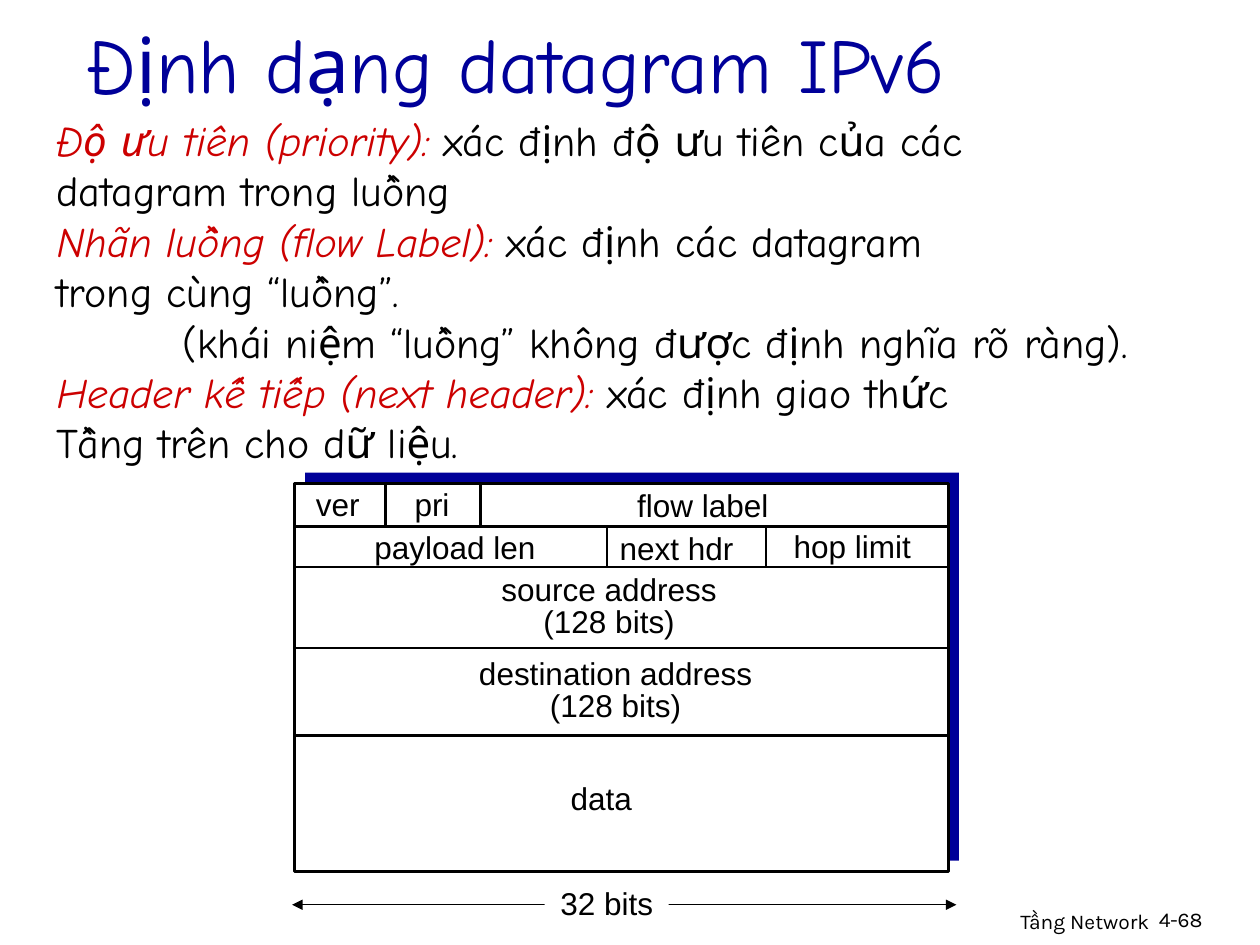
"""Build the slide on the IPv6 datagram format."""
from lxml.etree import SubElement
from pptx import Presentation
from pptx.dml.color import RGBColor
from pptx.enum.shapes import MSO_CONNECTOR as CONN, MSO_SHAPE as SHAPE
from pptx.enum.text import MSO_ANCHOR as ANCHOR, MSO_AUTO_SIZE as AUTO, PP_ALIGN as ALIGN
from pptx.oxml.ns import qn
from pptx.util import Cm, Pt

BLUE, RED, BLACK, WHITE = "000099", "CC0000", "000000", "FFFFFF"
TITLE = "Định dạng datagram IPv6"
BODY = [
    ("Độ ưu tiên (priority):", " xác định độ ưu tiên của các", 0),
    ("", "datagram trong luồng", 0),
    ("Nhãn luồng (flow Label):", " xác định các datagram", 0),
    ("", "trong cùng “luồng”.", 0),
    ("", "(khái niệm “luồng” không được định nghĩa rõ ràng).", 2.54),
    ("Header kế tiếp (next header):", " xác định giao thức", 0),
    ("", "Tầng trên cho dữ liệu.", 0),
]
FOOTERS = [
    ("Tầng Network", (15.37, 18.19, 8.05, 0.79), ALIGN.RIGHT),
    ("4-68", (23.11, 18.16, 1.88, 0.76), ALIGN.LEFT),
]
LEFT, TOP, WIDTH, HEIGHT = 5.94, 9.75, 13.18, 7.82
ROWS = [10.62, 11.43, 13.06, 14.83]
COLUMNS = [
    (7.77, TOP, ROWS[0]), (9.68, TOP, ROWS[0]),
    (12.24, ROWS[0], ROWS[1]), (15.44, ROWS[0], ROWS[1]),
]
FIELDS = [
    (["ver"], 6.81, 9.65, 1.5),
    (["pri"], 8.71, 9.65, 1.35),
    (["flow label"], 14.17, 9.68, 3.3),
    (["payload len"], 9.17, 10.52, 3.9),
    (["next hdr"], 13.64, 10.54, 2.95),
    (["hop limit"], 17.18, 10.49, 3.0),
    (["source address", "(128 bits)"], 12.28, 11.48, 5.0),
    (["destination address", "(128 bits)"], 12.41, 13.18, 6.15),
    (["data"], 12.12, 15.57, 1.85),
]


def rgb(value):
    return RGBColor.from_string(value)


def place(sp, box):
    for name, value in zip(("left", "top", "width", "height"), box):
        setattr(sp, name, Cm(value))


def add_run(p, text, color=BLACK, **fmt):
    r = p.add_run()
    r.text = text
    r.font.color.rgb = rgb(color)
    for name, value in fmt.items():
        setattr(r.font, name, value)


def paragraphs(tf, count):
    return [tf.paragraphs[0]] + [tf.add_paragraph() for _ in range(count - 1)]


def add_rect(s, box, fill, line=None):
    sp = s.shapes.add_shape(SHAPE.RECTANGLE, *map(Cm, box))
    sp.shadow.inherit = False
    sp.fill.solid()
    sp.fill.fore_color.rgb = rgb(fill)
    if line:
        sp.line.color.rgb = rgb(line)
        sp.line.width = Pt(1.5)
    else:
        sp.line.fill.background()
    return sp


def add_line(s, ends, width=1.5, arrows=False):
    sp = s.shapes.add_connector(CONN.STRAIGHT, *map(Cm, ends))
    sp.line.color.rgb = rgb(BLACK)
    sp.line.width = Pt(width)
    if arrows:
        ln = sp.line._get_or_add_ln()
        for tag in ("a:headEnd", "a:tailEnd"):
            SubElement(ln, qn(tag), type="triangle")
    SubElement(sp._element.spPr, qn("a:effectLst"))


def write_label(sp, lines):
    tf = sp.text_frame
    tf.word_wrap, tf.auto_size, tf.vertical_anchor = False, AUTO.SHAPE_TO_FIT_TEXT, ANCHOR.TOP
    for p, line in zip(paragraphs(tf, len(lines)), lines):
        p.alignment = ALIGN.CENTER
        if len(lines) > 1:
            p.line_spacing = 0.85
        add_run(p, line, name="Arial", size=Pt(18))


def add_title(s):
    sp = s.shapes.title
    place(sp, (1.47, 0, 21.59, 2.51))
    tf = sp.text_frame
    tf.auto_size, tf.vertical_anchor = AUTO.NONE, ANCHOR.MIDDLE
    tf.paragraphs[0].alignment = ALIGN.LEFT
    add_run(tf.paragraphs[0], TITLE, BLUE, name="Comic Neue", size=Pt(44))


def add_body(s):
    sp = s.placeholders[1]
    place(sp, (0.89, 2.18, 22.56, 7.37))
    tf = sp.text_frame
    tf.auto_size = AUTO.NONE
    for p, (term, text, indent) in zip(paragraphs(tf, len(BODY)), BODY):
        pPr = p._p.get_or_add_pPr()
        pPr.set("marL", str(Cm(indent)))
        pPr.set("indent", "0")
        SubElement(pPr, qn("a:buNone"))
        p.space_before = Pt(0)
        if term:
            add_run(p, term, RED, name="Comic Neue", size=Pt(24), italic=True)
        add_run(p, text, name="Comic Neue", size=Pt(24))


def add_datagram(s):
    add_rect(s, (6.15, 9.53, WIDTH, HEIGHT), BLUE)
    add_rect(s, (LEFT, TOP, WIDTH, HEIGHT), WHITE, BLACK)
    for y in ROWS:
        add_line(s, (LEFT, y, LEFT + WIDTH, y))
    for x, top, bottom in COLUMNS:
        add_line(s, (x, top, x, bottom))
    for lines, center, top, width in FIELDS:
        box = (center - width / 2, top, width, 1.02 if len(lines) == 1 else 1.55)
        write_label(s.shapes.add_textbox(*map(Cm, box)), lines)
    add_line(s, (5.89, 18.24, 19.28, 18.24), 0.75, arrows=True)
    write_label(add_rect(s, (10.98, 17.7, 2.5, 1.02), WHITE), ["32 bits"])


def add_footers(s):
    for text, box, align in FOOTERS:
        tf = s.shapes.add_textbox(*map(Cm, box)).text_frame
        tf.word_wrap = True
        tf.paragraphs[0].alignment = align
        add_run(tf.paragraphs[0], text, name="Karla", size=Pt(12))


def main():
    prs = Presentation()
    prs.slide_width, prs.slide_height = Cm(25.4), Cm(19.05)
    s = prs.slides.add_slide(prs.slide_layouts[1])
    add_title(s)
    add_body(s)
    add_datagram(s)
    add_footers(s)
    prs.save("out.pptx")


if __name__ == "__main__":
    main()
